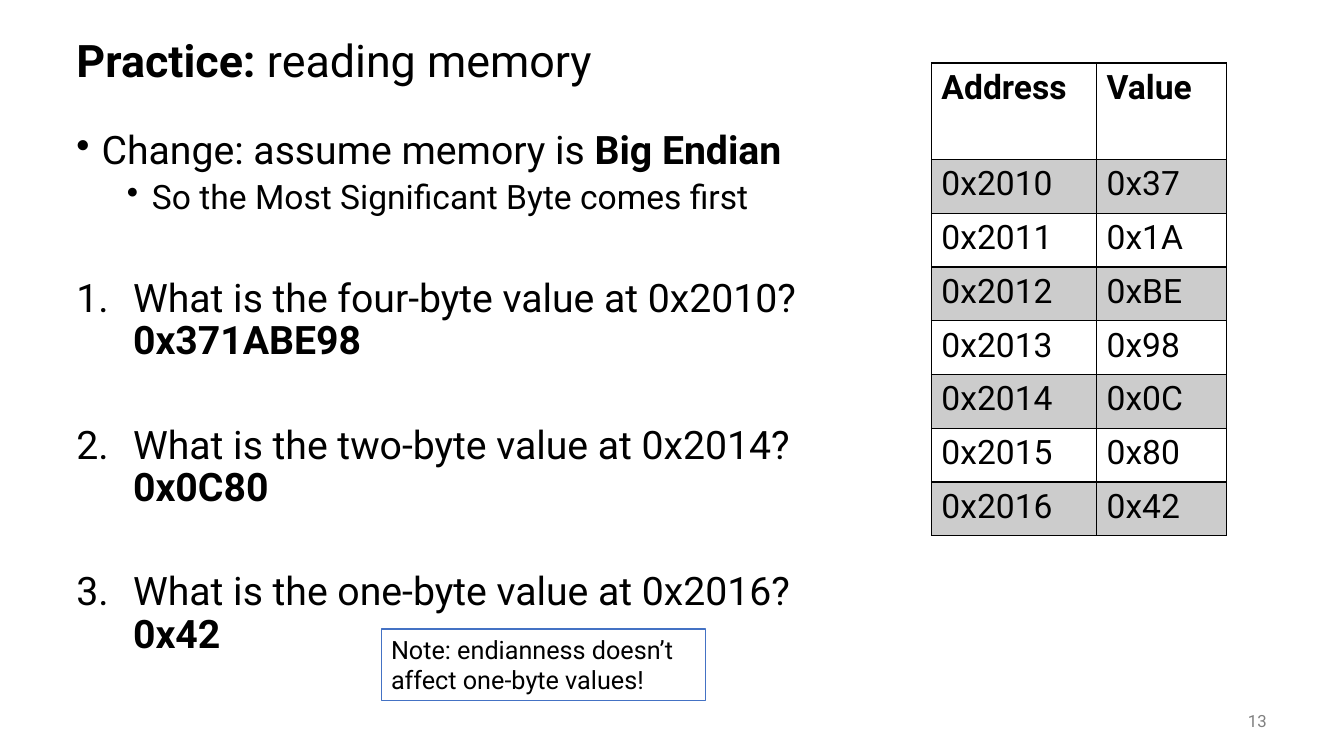
"""Build the memory-reading practice slide with its address table."""
from dataclasses import dataclass

from lxml import etree
from pptx import Presentation
from pptx.dml import color
from pptx.enum import shapes, text
from pptx.oxml import ns
from pptx.slide import Slide
from pptx.util import Pt


@dataclass(frozen=True)
class Theme:
    font: str = "Roboto"
    ink: str = "000000"
    muted: str = "808080"
    accent: str = "4472C4"
    band_alpha: int = 20000
    title: float = 32
    body: float = 28
    detail: float = 24
    note: float = 18
    number: float = 12


@dataclass(frozen=True)
class Box:
    left: float
    top: float
    width: float
    height: float

    def lengths(self) -> tuple[Pt, Pt, Pt, Pt]:
        return Pt(self.left), Pt(self.top), Pt(self.width), Pt(self.height)


@dataclass(frozen=True)
class Piece:
    words: str
    bold: bool = False
    starts_line: bool = False


@dataclass(frozen=True)
class Marker:
    tag: str
    attribute: str
    value: str
    margin: float
    hanging: float


@dataclass(frozen=True)
class Item:
    pieces: tuple[Piece, ...]
    size: float
    marker: Marker | None = None
    level: int = 0
    space_before: float = 0
    line_spacing: float = 0.9
    colour: str = "000000"
    align: text.PP_ALIGN = text.PP_ALIGN.LEFT


THEME = Theme()
BULLET = Marker("a:buChar", "char", "•", 18, 18)
SUB_BULLET = Marker("a:buChar", "char", "•", 54, 18)
NUMBER = Marker("a:buAutoNum", "type", "arabicPeriod", 40.5, 40.5)

TITLE = Item((Piece("Practice:", True), Piece(" reading memory")), THEME.title)
QUESTIONS = (
    ("What is the four-byte value at 0x2010?", "0x371ABE98"),
    ("What is the two-byte value at 0x2014?", "0x0C80"),
    ("What is the one-byte value at 0x2016?", "0x42"),
)
BODY = (
    Item((Piece("Change: assume memory is "), Piece("Big Endian", True)), THEME.body, BULLET),
    Item((Piece("So the Most Significant Byte comes first"),), THEME.detail, SUB_BULLET, 1, 5),
    *(
        Item((Piece(question), Piece(answer, True, True)), THEME.body, NUMBER, 0, 44.3)
        for question, answer in QUESTIONS
    ),
)
NOTE = Item(
    (Piece("Note: endianness doesn’t affect one-byte values!"),), THEME.note, line_spacing=1
)
SLIDE_NUMBER = Item(
    (Piece("13"),), THEME.number, line_spacing=1, colour=THEME.muted, align=text.PP_ALIGN.RIGHT
)

FIRST_ADDRESS = 0x2010
MEMORY = ("0x37", "0x1A", "0xBE", "0x98", "0x0C", "0x80", "0x42")
COLUMN_WIDTHS = (118, 93)
HEADER_HEIGHT, ROW_HEIGHT = 69, 38.4


def write_items(frame, items: tuple[Item, ...]) -> None:
    frame.word_wrap = True
    for index, item in enumerate(items):
        paragraph = frame.add_paragraph() if index else frame.paragraphs[0]
        paragraph.level = item.level
        paragraph.alignment = item.align
        paragraph.line_spacing = item.line_spacing
        if item.space_before:
            paragraph.space_before = Pt(item.space_before)
        if item.marker:
            properties = paragraph._p.get_or_add_pPr()
            properties.set("marL", str(Pt(item.marker.margin)))
            properties.set("indent", str(-Pt(item.marker.hanging)))
            bullet = etree.SubElement(properties, ns.qn(item.marker.tag))
            bullet.set(item.marker.attribute, item.marker.value)
        for piece in item.pieces:
            if piece.starts_line:
                paragraph.add_line_break()
            run = paragraph.add_run()
            run.text = piece.words
            run.font.name = THEME.font
            run.font.size = Pt(item.size)
            run.font.bold = piece.bold
            run.font.color.rgb = color.RGBColor.from_string(item.colour)


def add_text(
    slide: Slide,
    box: Box,
    items: tuple[Item, ...],
    anchor: text.MSO_ANCHOR = text.MSO_ANCHOR.TOP,
) -> None:
    frame = slide.shapes.add_textbox(*box.lengths()).text_frame
    frame.vertical_anchor = anchor
    write_items(frame, items)


def add_note(slide: Slide, box: Box, item: Item) -> None:
    shape = slide.shapes.add_shape(shapes.MSO_SHAPE.RECTANGLE, *box.lengths())
    shape.shadow.inherit = False
    shape.fill.background()
    shape.line.color.rgb = color.RGBColor.from_string(THEME.accent)
    shape.line.width = Pt(0.75)
    shape.text_frame.vertical_anchor = text.MSO_ANCHOR.TOP
    write_items(shape.text_frame, (item,))


def style_cell(cell, banded: bool) -> None:
    properties = cell._tc.get_or_add_tcPr()
    for edge in ("lnL", "lnR", "lnT", "lnB"):
        line = etree.SubElement(properties, ns.qn(f"a:{edge}"), w=str(Pt(1)))
        fill = etree.SubElement(line, ns.qn("a:solidFill"))
        etree.SubElement(fill, ns.qn("a:srgbClr"), val=THEME.ink)
    if not banded:
        cell.fill.background()
        return
    cell.fill.solid()
    cell.fill.fore_color.rgb = color.RGBColor.from_string(THEME.ink)
    tint = properties.find(ns.qn("a:solidFill")).find(ns.qn("a:srgbClr"))
    etree.SubElement(tint, ns.qn("a:alpha"), val=str(THEME.band_alpha))


def add_memory_table(slide: Slide, left: float, top: float) -> None:
    rows = [("Address", "Value")]
    rows += [(f"0x{FIRST_ADDRESS + offset:X}", value) for offset, value in enumerate(MEMORY)]
    box = Box(left, top, sum(COLUMN_WIDTHS), HEADER_HEIGHT + ROW_HEIGHT * len(MEMORY))
    table = slide.shapes.add_table(len(rows), len(COLUMN_WIDTHS), *box.lengths()).table
    table.first_row = table.horz_banding = False
    for column, width in zip(table.columns, COLUMN_WIDTHS):
        column.width = Pt(width)
    for row_index, row in enumerate(rows):
        table.rows[row_index].height = Pt(ROW_HEIGHT if row_index else HEADER_HEIGHT)
        for column_index, words in enumerate(row):
            cell = table.cell(row_index, column_index)
            style_cell(cell, row_index % 2 == 1)
            piece = Piece(words, row_index == 0)
            write_items(cell.text_frame, (Item((piece,), THEME.detail, line_spacing=1),))


def main() -> None:
    presentation = Presentation()
    presentation.slide_width, presentation.slide_height = Pt(960), Pt(540)
    slide = presentation.slides.add_slide(presentation.slide_layouts[6])
    add_text(slide, Box(47.5, 18, 864, 54), (TITLE,), text.MSO_ANCHOR.MIDDLE)
    add_text(slide, Box(47.5, 90, 864, 396), BODY)
    add_text(slide, Box(840, 500.4, 72, 28.8), (SLIDE_NUMBER,), text.MSO_ANCHOR.MIDDLE)
    add_memory_table(slide, 665.3, 45)
    add_note(slide, Box(272.2, 449.3, 231.8, 51), NOTE)
    presentation.save("out.pptx")


if __name__ == "__main__":
    main()
